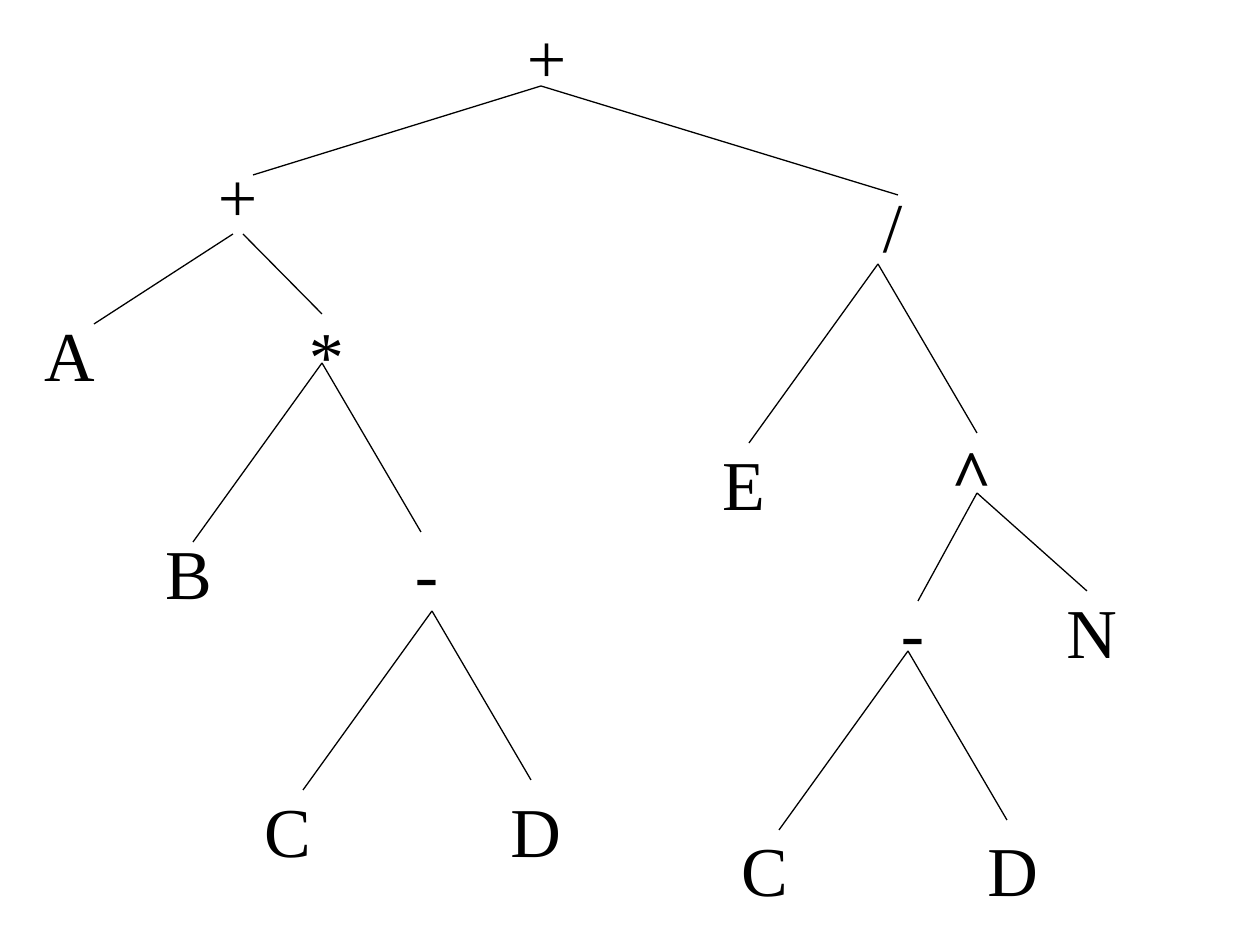
import pptx
import pptx.util
import pptx.dml.color
import pptx.enum.shapes
import pptx.enum.text
import lxml.etree

EMU_PER_PIXEL = 914400 / 126
A_NS = "http://schemas.openxmlformats.org/drawingml/2006/main"


def px(n):
    return pptx.util.Emu(round(n * EMU_PER_PIXEL))


def color(value):
    return pptx.dml.color.RGBColor.from_string(value)


class TreeSlide:
    ink = "000000"
    font = {"name": "Times New Roman", "size": pptx.util.Pt(40)}
    frame = {
        "margin_left": 0, "margin_right": 0, "margin_top": 0, "margin_bottom": 0,
        "word_wrap": True,
        "auto_size": pptx.enum.text.MSO_AUTO_SIZE.NONE,
        "vertical_anchor": pptx.enum.text.MSO_ANCHOR.MIDDLE,
    }
    node_size = (69, 60)

    def __init__(self, prs):
        self.s = prs.slides.add_slide(prs.slide_layouts[5])

    def label(self, sp, text, bold):
        tf = sp.text_frame
        for name, value in self.frame.items():
            setattr(tf, name, value)
        p = tf.paragraphs[0]
        p.alignment = pptx.enum.text.PP_ALIGN.CENTER
        r = p.add_run()
        r.text = text
        for name, value in {**self.font, "bold": bold}.items():
            setattr(r.font, name, value)
        r.font.color.rgb = color(self.ink)

    def title(self, text, x, y):
        sp = self.s.shapes.title
        w, h = self.node_size
        for name, value in {"left": x, "top": y, "width": w, "height": h}.items():
            setattr(sp, name, px(value))
        self.label(sp, text, False)

    def node(self, text, x, y, bold=False):
        sp = self.s.shapes.add_textbox(*map(px, (x, y, *self.node_size)))
        self.label(sp, text, bold)

    def branch(self, start, end):
        line = self.s.shapes.add_connector(
            pptx.enum.shapes.MSO_CONNECTOR.STRAIGHT, *map(px, (*start, *end)))
        line.line.color.rgb = color(self.ink)
        line.line.width = pptx.util.Pt(0.75)
        lxml.etree.SubElement(line._element.spPr, f"{{{A_NS}}}effectLst")

    def fork(self, apex, left=(-129, 179), right=(99, 169)):
        x, y = apex
        for dx, dy in (left, right):
            self.branch((x + dx, y + dy), apex)


prs = pptx.Presentation()
prs.slide_width, prs.slide_height = px(1260), px(945)
tree = TreeSlide(prs)

tree.title("A", 35, 324)
for text, x, y in [
    ("+", 512, 26), ("+", 203, 165), ("/", 858, 195),
    ("*", 292, 324), ("B", 154, 542), ("-", 392, 542),
    ("C", 253, 800), ("D", 501, 800),
    ("E", 709, 452), ("-", 878, 601), ("N", 1057, 601),
    ("C", 730, 839), ("D", 978, 839),
]:
    tree.node(text, x, y)
tree.node("^", 937, 442, bold=True)

tree.fork((541, 86), (-288, 89), (357, 109))
tree.branch((94, 324), (233, 234))
tree.branch((322, 314), (243, 234))
tree.fork((977, 493), (-59, 108), (110, 98))
for apex in [(322, 363), (432, 611), (878, 264), (908, 651)]:
    tree.fork(apex)

prs.save("out.pptx")
